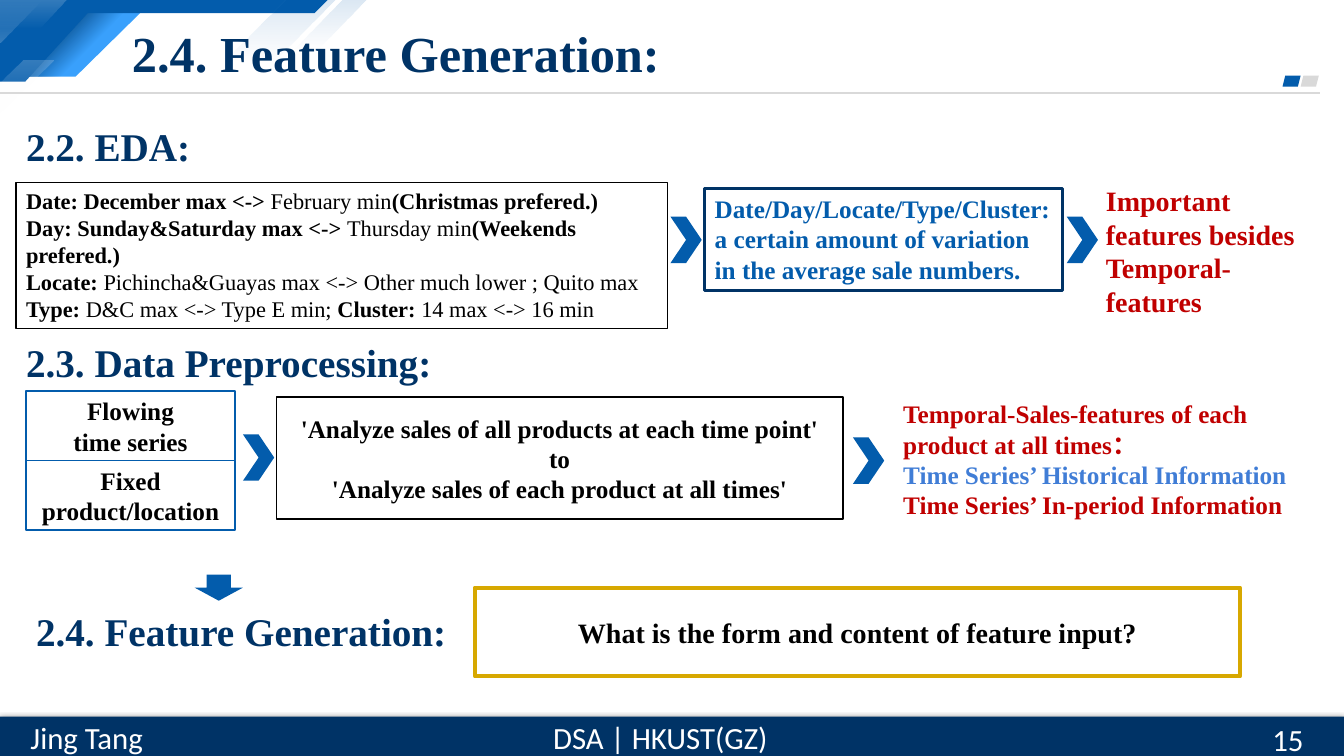
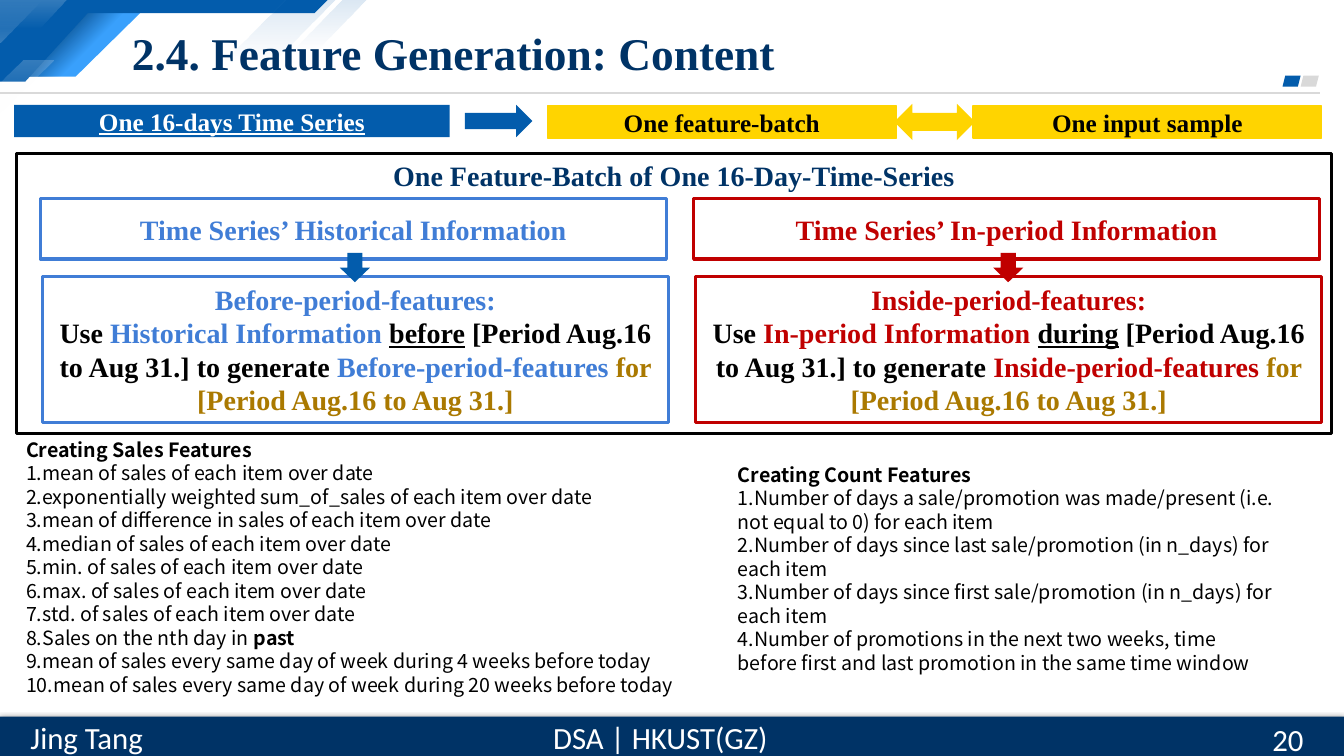
from lxml.etree import SubElement
from pptx import Presentation
from pptx.dml.color import RGBColor
from pptx.enum.shapes import MSO_CONNECTOR, MSO_SHAPE as KIND
from pptx.enum.text import MSO_ANCHOR, PP_ALIGN
from pptx.oxml.ns import qn
from pptx.util import Pt

PX = 9144
NAVY, BLUE, SKY, GREY = "003366", "035CAC", "407DD6", "D9D9D9"
RED, GOLD, OCHRE, BROWN = "C00000", "FFD400", "D7A800", "AA7900"
BLACK, WHITE = "000000", "FFFFFF"
SERIF = {"name": "Times New Roman", "bold": True, "color": BLACK}
BAND = {"name": "Calibri", "size": 22, "color": WHITE}
NOTE = {"name": "Noto Sans CJK SC", "size": 14, "color": BLACK}
PLAIN, STRONG, LINED = {"bold": False}, {"bold": True}, {"underline": True}
HEAD = {**SERIF, "size": 28, "color": NAVY}
MID = {**SERIF, "size": 18}
BIG = {**SERIF, "size": 20}
NONE = (0, 0)
PAD = (10, 5)


def paint(text):
    """Turn a hex string into a colour."""
    return RGBColor.from_string(text)


def style(font, look):
    """Set a font from a dict of format values."""
    for key, value in look.items():
        if key == "color":
            font.color.rgb = paint(value)
        else:
            setattr(font, key, Pt(value) if key == "size" else value)


def write(shape, paras, look, align=PP_ALIGN.LEFT, anchor=MSO_ANCHOR.MIDDLE,
          pad=PAD, pitch=None):
    """Fill a shape with paragraphs of runs."""
    frame = shape.text_frame
    values = {"word_wrap": True, "vertical_anchor": anchor,
              "margin_left": pad[0] * PX, "margin_right": pad[0] * PX,
              "margin_top": pad[1] * PX, "margin_bottom": pad[1] * PX}
    for key, value in values.items():
        setattr(frame, key, value)
    for place, runs in enumerate(paras):
        para = frame.add_paragraph() if place else frame.paragraphs[0]
        para.alignment = align
        if pitch:
            para.line_spacing = Pt(pitch)
        for item in [runs] if isinstance(runs, str) else runs:
            words, change = (item, {}) if isinstance(item, str) else item
            run = para.add_run()
            run.text = words
            style(run.font, {**look, **change})


def label(slide, box, paras, look, **rest):
    """Add a text box."""
    shape = slide.shapes.add_textbox(*[n * PX for n in box])
    write(shape, paras, look, **rest)


def finish(shape, fill=None, line=None, width=1):
    """Set fill and line, and drop the shadow."""
    shape.shadow.inherit = False
    if fill:
        shape.fill.solid()
        shape.fill.fore_color.rgb = paint(fill)
    else:
        shape.fill.background()
    if line:
        shape.line.color.rgb = paint(line)
        shape.line.width = Pt(width)
    else:
        shape.line.fill.background()
    return shape


def draw(slide, kind, box, fill=None, line=None, width=1):
    """Add a preset shape."""
    shape = slide.shapes.add_shape(kind, *[n * PX for n in box])
    return finish(shape, fill, line, width)


def card(slide, box, paras, look, fill=None, line=None, width=1,
         align=PP_ALIGN.CENTER, **rest):
    """Add a rectangle that holds text."""
    shape = draw(slide, KIND.RECTANGLE, box, fill, line, width)
    write(shape, paras, look, align=align, **rest)


def shade(shape, color, stops, angle):
    """Fill a shape with a fading gradient."""
    shape.fill.gradient()
    shape.fill.gradient_angle = 360 - angle
    grad = shape.fill._xPr.find(qn("a:gradFill"))
    group = grad.find(qn("a:gsLst"))
    for old in list(group):
        group.remove(old)
    for spot, alpha in stops:
        stop = SubElement(group, qn("a:gs"), pos=str(spot * 1000))
        tint = SubElement(stop, qn("a:srgbClr"), val=color)
        SubElement(tint, qn("a:alpha"), val=str(alpha * 1000))


def shard(slide, points, fill=None):
    """Add a closed outline."""
    build = slide.shapes.build_freeform(*points[0], scale=PX)
    build.add_line_segments(points[1:], close=True)
    return finish(build.convert_to_shape(), fill)


def corner(slide):
    """Draw the slanted art at the top left."""
    slant = [(84, 7), (145, 7), (75, 76), (16, 76)]
    shard(slide, slant, "39A0FC")
    shade(shard(slide, slant), "024581", [(29, 100), (57, 0)], 45)
    shard(slide, [(0, 0), (325, 0), (312, 13), (87, 13), (25, 81), (0, 81)], BLUE)
    wedge = draw(slide, KIND.RIGHT_TRIANGLE, (0, 0, 42, 42))
    wedge._element.spPr.xfrm.set("flipV", "1")
    shade(wedge, WHITE, [(0, 20), (100, 0)], 90)
    for points, color, alpha in (
            ([(0, 0), (66, 0), (39, 28), (0, 28)], WHITE, 20),
            ([(284, 0), (333, 0), (272, 61), (222, 61)], BLUE, 15),
            ([(340, 0), (364, 0), (315, 49), (291, 49)], BLUE, 15),
            ([(23, 60), (53, 60), (0, 113), (0, 83)], WHITE, 20)):
        shade(shard(slide, points), color, [(0, alpha), (100, 0)], 90)


def footer(slide, y, number):
    """Draw the bottom band with its labels."""
    band = draw(slide, KIND.RECTANGLE, (0, y, 1333, 39), NAVY)
    effect = band._element.spPr.find(qn("a:effectLst"))
    cast = SubElement(effect, qn("a:outerShdw"), blurRad=str(Pt(4.5)),
                      dist=str(Pt(1.5)), dir="5400000")
    tint = SubElement(cast, qn("a:srgbClr"), val=BLACK)
    SubElement(tint, qn("a:alpha"), val="63000")
    for x, width, words in ((536, 238, "DSA | HKUST(GZ)"), (16, 140, "Jing Tang")):
        label(slide, (x, y - 3, width, 47), [words], BAND, align=PP_ALIGN.CENTER)
    label(slide, (1252, y + 2, 81, 40), [str(number)], BAND)


def start(deck, title, size, number):
    """Add a slide with the shared parts."""
    slide = deck.slides.add_slide(deck.slide_layouts[6])
    corner(slide)
    rule = slide.shapes.add_connector(
        MSO_CONNECTOR.STRAIGHT, 0, 92 * PX, 1309 * PX, 92 * PX)
    rule.line.color.rgb = paint(GREY)
    rule.line.width = Pt(1.5)
    SubElement(rule._element.spPr, qn("a:effectLst"))
    for x, color in ((1290, GREY), (1272, BLUE)):
        draw(slide, KIND.PARALLELOGRAM, (x, 75, 18, 11), color)
    footer(slide, 711, number)
    label(slide, (121, 17, 1021, 69), [title], {**HEAD, "size": size})
    return slide


def chevron(slide, x, y):
    """Add a blue chevron."""
    draw(slide, KIND.CHEVRON, (x, y, 31, 46), BLUE)


def survey(slide, x, y):
    """Place the EDA findings."""
    label(slide, (x, y, 1028, 65), ["2.2. EDA:"], HEAD)
    facts = [
        ["Date: December max <-> ", ("February min", PLAIN), "(Christmas prefered.)"],
        ["Day: Sunday&Saturday max <-> ", ("Thursday min", PLAIN),
         "(Weekends prefered.)"],
        ["Locate: ",
         ("Pichincha&Guayas max <-> Other much lower ; Quito max", PLAIN)],
        ["Type: ", ("D&C max <-> Type E min;", PLAIN), " Cluster: ",
         ("14 max <-> 16 min", PLAIN)]]
    card(slide, (x, y + 69, 646, 145), facts, {**SERIF, "size": 16}, line=BLACK,
         align=PP_ALIGN.LEFT, anchor=MSO_ANCHOR.TOP)
    card(slide, (x + 683, y + 75, 355, 101),
         ["Date/Day/Locate/Type/Cluster:", "a certain amount of variation",
          "in the average sale numbers."], {**MID, "color": BLUE}, line=NAVY,
         width=2.25, align=PP_ALIGN.LEFT, anchor=MSO_ANCHOR.TOP)
    for step in (649, 1042):
        chevron(slide, x + step, y + 103)
    label(slide, (x + 1071, y + 65, 237, 115),
          ["Important features besides Temporal-features"],
          {**BIG, "color": RED}, anchor=MSO_ANCHOR.TOP)


def prepare(slide, x, y):
    """Place the data preprocessing steps."""
    label(slide, (x, y, 1021, 69), ["2.3. Data Preprocessing:"], HEAD)
    pairs = (["Flowing", "time series"], ["Fixed", "product/location"])
    for row, words in enumerate(pairs):
        card(slide, (x + 10, y + 64 + 69 * row, 207, 69), words, MID, line=BLUE,
             pad=NONE)
    card(slide, (x + 258, y + 70, 562, 121),
         ["'Analyze sales of all products at each time point'", "to",
          "'Analyze sales of each product at all times'"], MID, line=BLACK)
    chevron(slide, x + 225, y + 107)
    chevron(slide, x + 830, y + 110)
    label(slide, (x + 870, y + 53, 426, 157),
          ["Temporal-Sales-features of each product at all times：",
           [("Time Series’ Historical Information", {"color": SKY})],
           "Time Series’ In-period Information"], {**MID, "color": RED})


def goal(slide, x, y):
    """Place the closing question."""
    draw(slide, KIND.DOWN_ARROW, (x + 167, y, 48, 26), BLUE)
    label(slide, (x, y + 21, 446, 69), ["2.4. Feature Generation:"], HEAD)
    card(slide, (x + 445, y + 13, 759, 88),
         ["What is the form and content of feature input?"], BIG, line=OCHRE,
         width=3, pad=NONE)


def flow(slide, x, y):
    """Place the row from series to sample."""
    card(slide, (x, y, 432, 32), ["One 16-days Time Series"],
         {**MID, **LINED, "color": WHITE}, fill=BLUE)
    draw(slide, KIND.RIGHT_ARROW, (x + 447, y, 67, 32), BLUE)
    for step, words in ((529, "One feature-batch"), (951, "One input sample")):
        card(slide, (x + step, y + 1, 346, 32), [words], MID, fill=GOLD, line=GOLD,
             pad=NONE)
    draw(slide, KIND.LEFT_RIGHT_ARROW, (x + 873, y - 1, 80, 36), GOLD)


def panel(slide, x, y, color, point, source, kind, when):
    """Place one source box above its features."""
    tone = {"color": color}
    look = {**BIG, **tone}
    card(slide, (x, y, 621, 60), [f"Time Series’ {source}"], look, line=color,
         width=2.25)
    body = [f"{kind}:",
            [("Use ", {"color": BLACK}), f"{source} ",
             (when, {"color": BLACK, **LINED}),
             (" [Period Aug.16 to Aug 31.] to generate ", {"color": BLACK}),
             f"{kind} ", ("for [Period Aug.16 to Aug 31.]", {"color": BROWN})]]
    card(slide, (x + 2, y + 77, 621, 145), body, look, line=color, width=2.25)
    draw(slide, KIND.DOWN_ARROW, (x + 297, y + 54, 30, 29), point)


def batch(slide, x, y):
    """Place the frame with both panels."""
    card(slide, (x, y, 1305, 278), ["One Feature-Batch of One 16-Day-Time-Series"],
         {**BIG, "color": NAVY}, line=BLACK, width=2.25, anchor=MSO_ANCHOR.TOP)
    panel(slide, x + 24, y + 45, SKY, BLUE, "Historical Information",
          "Before-period-features", "before")
    panel(slide, x + 672, y + 45, RED, RED, "In-period Information",
          "Inside-period-features", "during")


def notes(slide, box, title, lines):
    """Place a titled list of features."""
    label(slide, box, [[(title, STRONG)], *lines], NOTE, anchor=MSO_ANCHOR.TOP,
          pitch=16.8)


def main():
    """Build and save the deck."""
    deck = Presentation()
    deck.slide_width, deck.slide_height = 1333 * PX, 750 * PX
    slide = start(deck, "2.4. Feature Generation:", 36, 15)
    survey(slide, 16, 112)
    prepare(slide, 16, 324)
    goal(slide, 26, 570)
    slide = start(deck, "2.4. Feature Generation: Content", 32.4, 20)
    batch(slide, 16, 152)
    flow(slide, 14, 104)
    notes(slide, (16, 429, 694, 269), "Creating Sales Features", [
        "1.mean of sales of each item over date",
        "2.exponentially weighted sum_of_sales of each item over date",
        "3.mean of difference in sales of each item over date",
        "4.median of sales of each item over date",
        "5.min. of sales of each item over date",
        "6.max. of sales of each item over date",
        "7.std. of sales of each item over date",
        ["8.Sales on the nth day in ", ("past", STRONG)],
        "9.mean of sales every same day of week during 4 weeks before today",
        "10.mean of sales every same day of week during 20 weeks before today"])
    notes(slide, (722, 454, 556, 222), "Creating Count Features", [
        "1.Number of days a sale/promotion was made/present (i.e. not equal to 0)"
        " for each item",
        "2.Number of days since last sale/promotion (in n_days) for each item",
        "3.Number of days since first sale/promotion (in n_days) for each item",
        "4.Number of promotions in the next two weeks, time before first and last"
        " promotion in the same time window"])
    deck.save("out.pptx")


if __name__ == "__main__":
    main()
